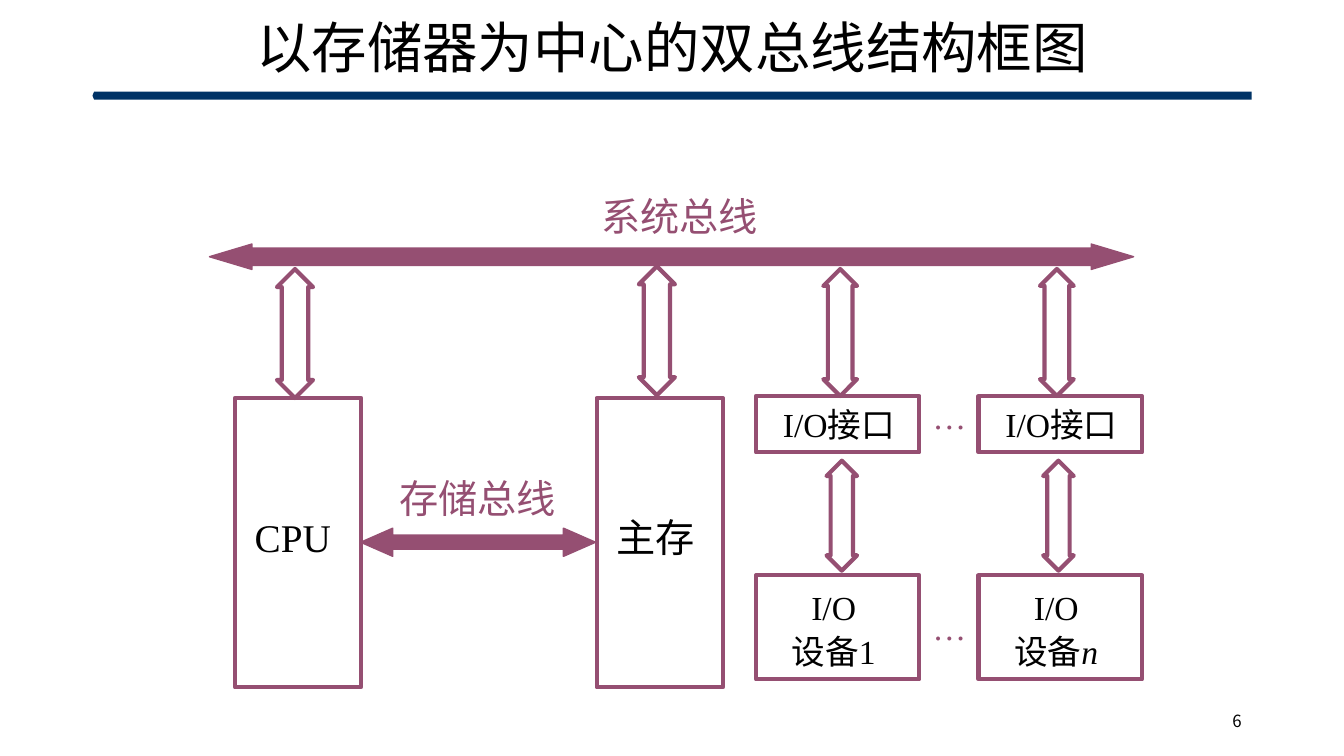
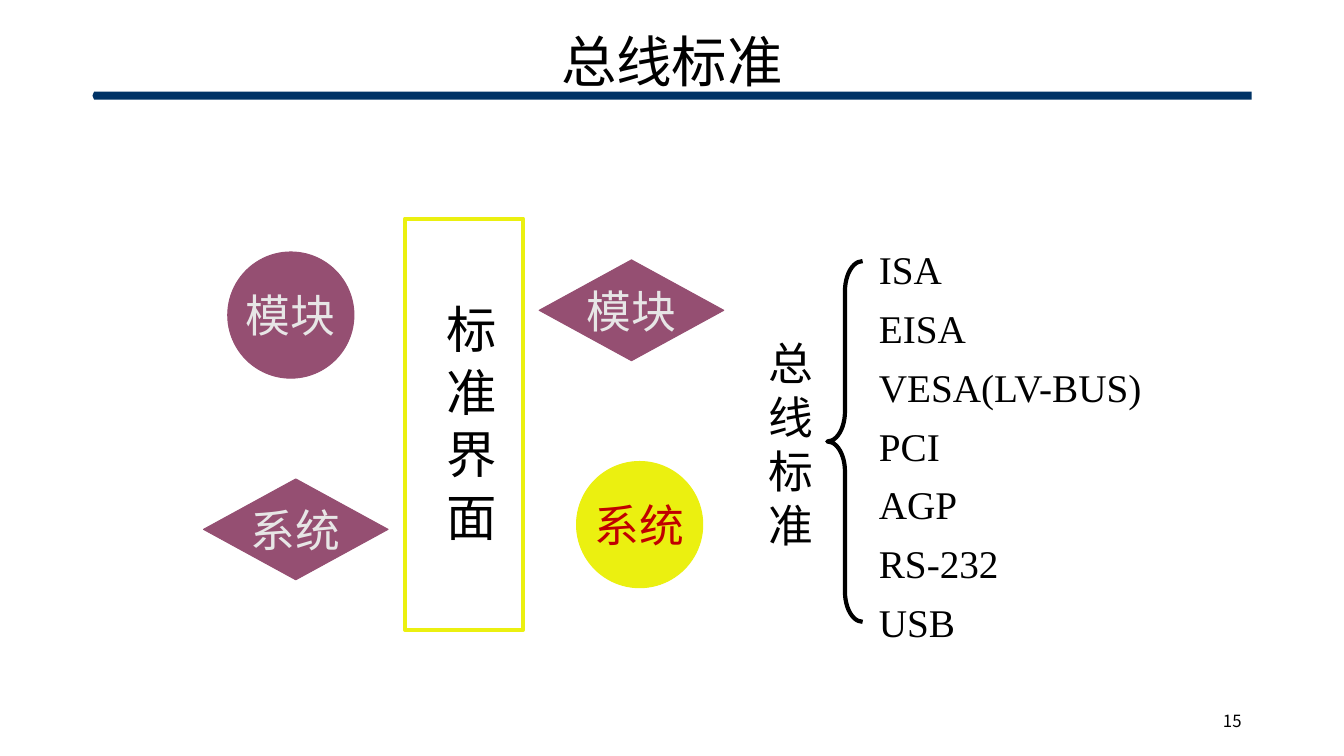
from pptx import Presentation
from pptx.dml.color import RGBColor
from pptx.enum.shapes import MSO_SHAPE as Preset
from pptx.enum.text import MSO_ANCHOR as Anchor, PP_ALIGN as Align
from pptx.util import Cm, Pt
from lxml import etree

NAVY = RGBColor(0x00, 0x33, 0x66)
PLUM = RGBColor(0x95, 0x4F, 0x72)
YELLOW = RGBColor(0xEB, 0xF0, 0x10)
RED = RGBColor(0xC0, 0x00, 0x00)
PALE = RGBColor(0xE7, 0xE6, 0xE6)
BLACK = RGBColor(0x00, 0x00, 0x00)

SANS = "Noto Sans CJK SC"
SERIF = "Times New Roman"
DRAWING_NS = "http://schemas.openxmlformats.org/drawingml/2006/main"


def style_run(run, size, color, font=SERIF, italic=None):
    run.font.name = font
    run.font.size = Pt(size)
    run.font.color.rgb = color
    run.font.italic = italic
    if any(char >= "一" for char in run.text):
        east_asian = etree.SubElement(run.font._element, f"{{{DRAWING_NS}}}ea")
        east_asian.set("typeface", SANS)


def write(shape, text, size, color=BLACK, font=SERIF, align=Align.CENTER,
          insets=(0, 0, 0, 0), spacing=None, wrap=True):
    """Fill a shape with vertically centred text; insets are left, top, right, bottom."""
    frame = shape.text_frame
    frame.text = text
    frame.word_wrap = wrap
    frame.vertical_anchor = Anchor.MIDDLE
    (frame.margin_left, frame.margin_top,
     frame.margin_right, frame.margin_bottom) = map(Cm, insets)
    for paragraph in frame.paragraphs:
        paragraph.alignment = align
        paragraph.line_spacing = spacing
        for run in paragraph.runs:
            style_run(run, size, color, font)
    return frame


def add_label(slide, box, text, size, **style):
    return write(slide.shapes.add_textbox(*map(Cm, box)), text, size, **style)


def add_preset(slide, preset, box, fill=None, line=None, width=3, adjust=()):
    shape = slide.shapes.add_shape(preset, *map(Cm, box))
    shape.shadow.inherit = False
    if fill is None:
        shape.fill.background()
    else:
        shape.fill.solid()
        shape.fill.fore_color.rgb = fill
    if line is None:
        shape.line.fill.background()
    else:
        shape.line.color.rgb = line
        shape.line.width = Pt(width)
    for index, value in enumerate(adjust):
        shape.adjustments[index] = value
    return shape


def add_frame(slide, box, color=PLUM):
    return add_preset(slide, Preset.RECTANGLE, box, line=color)


def add_link(slide, box):
    """Hollow vertical double arrow."""
    add_preset(slide, Preset.UP_DOWN_ARROW, box, line=PLUM, adjust=(0.5, 0.73))


def add_bus(slide, box, shaft, head):
    """Solid horizontal double arrow."""
    add_preset(slide, Preset.LEFT_RIGHT_ARROW, box, PLUM, PLUM, 1, (shaft, head))


def add_token(slide, preset, box, text, fill, color):
    token = add_preset(slide, preset, box, fill, fill, 0.75)
    write(token, text, 32, color, wrap=False)


def start_slide(deck, title, title_top, number):
    slide = deck.slides.add_slide(deck.slide_layouts[6])
    rule = add_preset(slide, Preset.PENTAGON, (2.33, 2.31, 29.21, 0.2),
                      NAVY, adjust=(0.2,))
    rule.rotation = 180
    add_label(slide, (2.33, title_top, 29.21, 1.68), title, 39.6,
              font=SANS, spacing=0.9)
    add_label(slide, (23.93, 17.65, 7.36, 1.02), number, 12,
              font=SANS, align=Align.RIGHT)
    return slide


def build_dual_bus(deck):
    slide = start_slide(deck, "以存储器为中心的双总线结构框图", 0.43, "6")

    add_label(slide, (14.12, 4.84, 6, 1.2), "系统总线", 28, color=PLUM, font=SANS)
    add_bus(slide, (5.28, 6.15, 23.29, 0.64), 0.68, 1.67)
    add_label(slide, (9.03, 11.95, 6, 1.2), "存储总线", 28, color=PLUM)
    add_bus(slide, (9.09, 13.31, 5.92, 0.71), 0.5, 1.14)

    for name, left, link_top in (("CPU", 5.92, 6.78), ("主存", 15.04, 6.71)):
        unit = add_frame(slide, (left, 10.03, 3.18, 7.29))
        write(unit, name, 28, align=Align.LEFT, insets=(0.5, 0, 0, 0.3))
        add_link(slide, (left + 1.06, link_top, 0.91, 3.25))

    for column, (suffix, italic) in enumerate((("1", False), ("n", True))):
        left = 19.05 + 5.61 * column
        interface = add_frame(slide, (left, 9.98, 4.12, 1.42))
        write(interface, "I/O接口", 24, align=Align.LEFT, insets=(0.68, 0, 0, 0))
        device = add_frame(slide, (left, 14.5, 4.12, 2.62))
        frame = write(device, "I/O\n设备", 24, insets=(0, 0, 0.2, 0),
                      spacing=Pt(31))
        index = frame.paragraphs[-1].add_run()
        index.text = suffix
        style_run(index, 24, BLACK, italic=italic)

        link_left = 20.75 + 5.46 * column
        add_link(slide, (link_left, 6.78, 0.85, 3.2))
        add_link(slide, (link_left + 0.08, 11.61, 0.77, 2.77))

    for top in (9.98, 15.29):
        add_label(slide, (23.5, top, 0.86, 1.02), "…", 24, color=PLUM, wrap=False)


def build_bus_standards(deck):
    slide = start_slide(deck, "总线标准", 0.79, "15")

    add_frame(slide, (10.21, 5.51, 2.97, 10.36), YELLOW)
    boundary = add_label(slide, (10.82, 7.67, 2.03, 7), "标 准 界 面", 36,
                         align=Align.LEFT)
    boundary._txBody.bodyPr.set("vert", "eaVert")

    for preset, box, text, fill, color in (
        (Preset.OVAL, (5.74, 6.35, 3.18, 3.18), "模块", PLUM, PALE),
        (Preset.DIAMOND, (13.59, 6.55, 4.65, 2.54), "模块", PLUM, PALE),
        (Preset.DIAMOND, (5.13, 12.07, 4.65, 2.54), "系统", PLUM, PALE),
        (Preset.OVAL, (14.53, 11.63, 3.18, 3.18), "系统", YELLOW, RED),
    ):
        add_token(slide, preset, box, text, fill, color)

    add_label(slide, (19.19, 8.31, 1.5, 5.74), "总\n线\n标\n准", 32,
              spacing=Pt(38.5))
    add_preset(slide, Preset.LEFT_BRACE, (20.85, 6.58, 0.89, 9.09),
               line=BLACK, adjust=(0.85, 0.5))
    standards = ("ISA", "EISA", "VESA(LV-BUS)", "PCI", "AGP", "RS-232", "USB")
    add_label(slide, (22.15, 5.89, 8.9, 10.37), "\n".join(standards), 28,
              align=Align.LEFT, spacing=Pt(42))


def main():
    deck = Presentation()
    deck.slide_width, deck.slide_height = Cm(33.87), Cm(19.05)
    build_dual_bus(deck)
    build_bus_standards(deck)
    deck.save("out.pptx")


if __name__ == "__main__":
    main()
